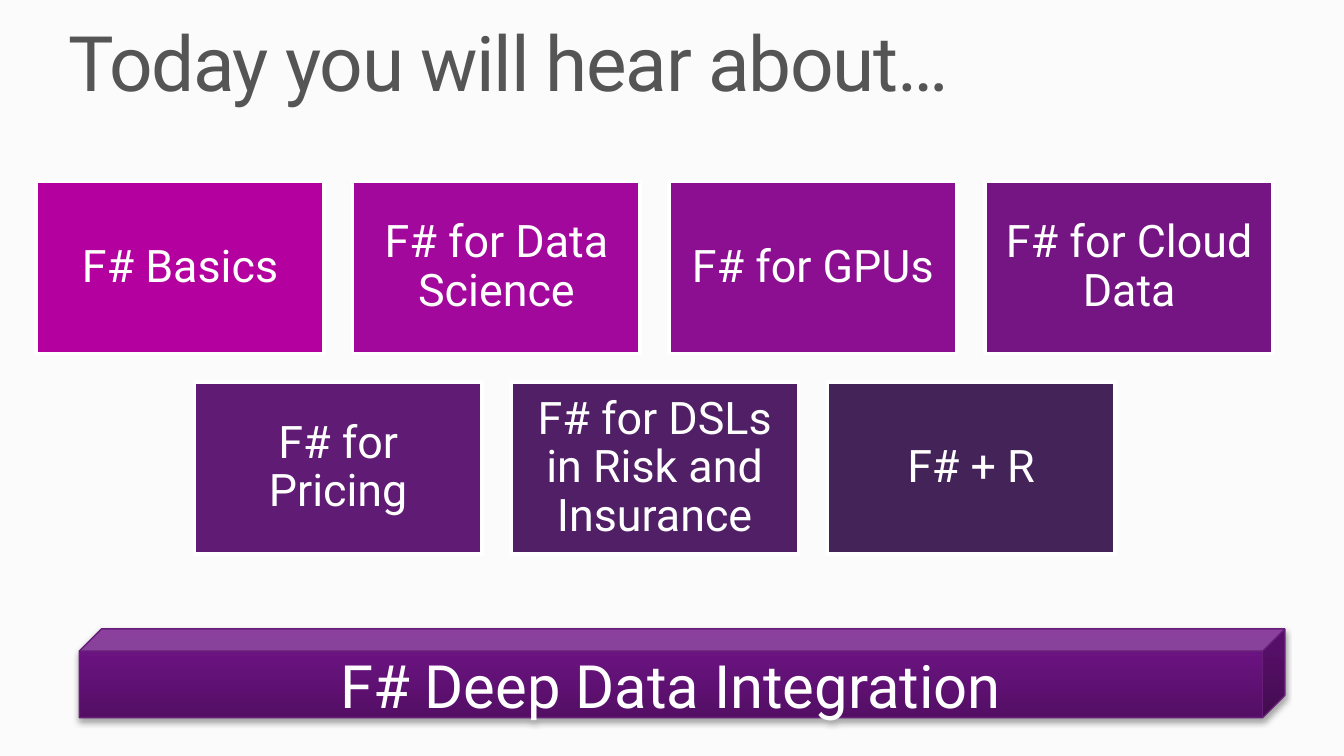
import dataclasses

import pptx
import pptx.dml.color
import pptx.enum.shapes
import pptx.enum.text
import pptx.oxml
import pptx.oxml.ns
import pptx.util

Inches = pptx.util.Inches
Pt = pptx.util.Pt
Anchor = pptx.enum.text.MSO_ANCHOR
Align = pptx.enum.text.PP_ALIGN
Kind = pptx.enum.shapes.MSO_SHAPE

FONT = "Roboto"
COLORS = {
    "back": "FBFBFB",
    "title": "555555",
    "white": "FFFFFF",
    "edge": "671E79",
    "low": "540F65",
    "mid": "6C1383",
    "top": "6E1186",
    "shade": "000000",
}
PAGE = 10
LEFT, TOP = 0.27, 1.35
WIDE, HIGH = 2.14, 1.28
GAP = WIDE / 10


@dataclasses.dataclass
class Tile:
    text: str
    fill: str


ROWS = [
    [
        Tile("F# Basics", "B4009E"),
        Tile("F# for Data Science", "A3089D"),
        Tile("F# for GPUs", "8C0F92"),
        Tile("F# for Cloud Data", "741583"),
    ],
    [
        Tile("F# for Pricing", "601B74"),
        Tile("F# for DSLs in Risk and Insurance", "511F66"),
        Tile("F# + R", "442359"),
    ],
]


def color(value: str) -> pptx.dml.color.RGBColor:
    return pptx.dml.color.RGBColor.from_string(value)


def write(shape, text: str, size: float, ink: str, align, anchor,
          inset: tuple[float, float], space: float = 1.0) -> None:
    frame = shape.text_frame
    frame.text = text
    frame.word_wrap = True
    frame.vertical_anchor = anchor
    frame.margin_left = frame.margin_right = Inches(inset[0])
    frame.margin_top = frame.margin_bottom = Inches(inset[1])
    para = frame.paragraphs[0]
    para.alignment = align
    para.line_spacing = space
    font = para.runs[0].font
    font.name = FONT
    font.size = Pt(size)
    font.color.rgb = color(ink)


def draw_title(slide) -> None:
    title = slide.shapes.title
    title.left, title.top = Inches(0.51), Inches(0.19)
    title.width, title.height = Inches(8.98), Inches(0.62)
    write(title, "Today you will hear about…", 41, COLORS["title"],
          Align.LEFT, Anchor.TOP, (0, 0), 0.9)
    title.text_frame.auto_size = pptx.enum.text.MSO_AUTO_SIZE.SHAPE_TO_FIT_TEXT
    run = title.text_frame.paragraphs[0].runs[0]
    run.font._element.set("spc", "-75")


def draw_tile(slide, tile: Tile, left: float, top: float) -> None:
    box = slide.shapes.add_shape(
        Kind.RECTANGLE, Inches(left), Inches(top), Inches(WIDE), Inches(HIGH))
    box.shadow.inherit = False
    box.fill.solid()
    box.fill.fore_color.rgb = color(tile.fill)
    box.line.color.rgb = color(COLORS["white"])
    box.line.width = Pt(2)
    write(box, tile.text, 24, COLORS["white"], Align.CENTER, Anchor.MIDDLE,
          (0.1, 0.1), 0.9)


def draw_bar(slide) -> None:
    bar = slide.shapes.add_shape(
        Kind.CUBE, Inches(0.59), Inches(4.68), Inches(8.97), Inches(0.66))
    bar.shadow.inherit = False
    bar.line.color.rgb = color(COLORS["edge"])
    bar.line.width = Pt(0.75)
    write(bar, "F# Deep Data Integration", 32, COLORS["white"],
          Align.CENTER, Anchor.MIDDLE, (0.1, 0.05))

    space = pptx.oxml.ns.nsdecls("a")
    stops = "".join(
        f'<a:gs pos="{spot * 1000}"><a:srgbClr val="{COLORS[name]}"/></a:gs>'
        for spot, name in ((0, "low"), (80, "mid"), (100, "top")))
    grad = pptx.oxml.parse_xml(
        f'<a:gradFill {space} rotWithShape="1"><a:gsLst>{stops}</a:gsLst>'
        '<a:lin ang="16200000" scaled="0"/></a:gradFill>')
    props = bar._element.spPr
    props.find(pptx.oxml.ns.qn("a:prstGeom")).addnext(grad)

    shade = pptx.oxml.parse_xml(
        f'<a:outerShdw {space} blurRad="{Pt(3.1)}" dist="{Pt(1.8)}" '
        f'dir="5400000" rotWithShape="0"><a:srgbClr val="{COLORS["shade"]}">'
        '<a:alpha val="35000"/></a:srgbClr></a:outerShdw>')
    props.find(pptx.oxml.ns.qn("a:effectLst")).append(shade)


def main() -> None:
    deck = pptx.Presentation()
    deck.slide_width, deck.slide_height = Inches(PAGE), Inches(PAGE * 9 / 16)
    slide = deck.slides.add_slide(deck.slide_layouts[5])
    slide.background.fill.solid()
    slide.background.fill.fore_color.rgb = color(COLORS["back"])

    most = max(len(row) for row in ROWS)
    for line, row in enumerate(ROWS):
        start = LEFT + (most - len(row)) * (WIDE + GAP) / 2
        for spot, tile in enumerate(row):
            draw_tile(slide, tile, start + spot * (WIDE + GAP),
                      TOP + line * (HIGH + GAP))
    draw_title(slide)
    draw_bar(slide)
    deck.save("out.pptx")


if __name__ == "__main__":
    main()
